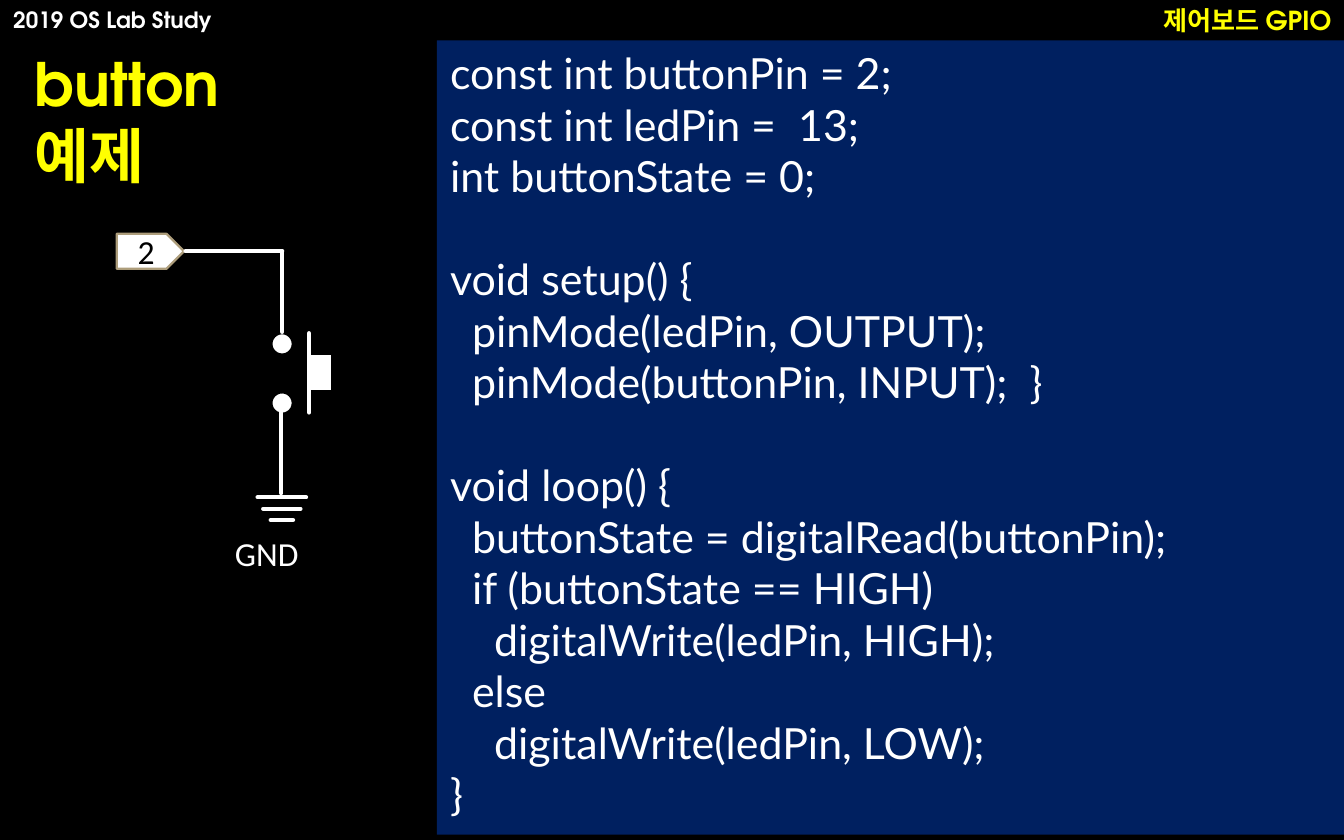
from dataclasses import dataclass

from lxml import etree
from pptx import Presentation
from pptx import util as u
from pptx.dml.color import RGBColor
from pptx.enum import shapes, text
from pptx.oxml import ns

Pt = u.Pt
COLORS = {"black": "000000", "white": "FFFFFF", "navy": "002060",
          "yellow": "FFFF00", "tan": "AD9D7B"}
HEAD_FONT, CODE_FONT, LABEL_FONT = "TeX Gyre Adventor", "Lato", "Calibri"
CODE_SIZE = 23
LINE_HEIGHT = 27.6   # one line of code
INDENT = 11.8        # one level of code indent


@dataclass
class Label:
    words: str
    box: tuple[float, float, float, float]
    font: str
    size: float
    color: str
    bold: bool = False
    align: text.PP_ALIGN = text.PP_ALIGN.LEFT


@dataclass
class Part:
    kind: shapes.MSO_SHAPE
    box: tuple[float, float, float, float]
    fill: str = "white"
    line: str | None = "black"


@dataclass
class Wire:
    start: tuple[float, float]
    end: tuple[float, float]


@dataclass
class CodeLine:
    words: str
    level: int = 0
    gap: bool = False


def rgb(name: str) -> RGBColor:
    return RGBColor.from_string(COLORS[name])


def set_font(font, name: str, size: float, color: str, bold: bool = False) -> None:
    for key, value in {"name": name, "size": Pt(size), "bold": bold}.items():
        setattr(font, key, value)
    font.color.rgb = rgb(color)


def write_label(sp, label: Label) -> None:
    """Fill the first paragraph of a shape; a newline is a line break."""
    p = sp.text_frame.paragraphs[0]
    p.alignment = label.align
    for i, words in enumerate(label.words.split("\n")):
        if i:
            p.add_line_break()
        r = p.add_run()
        r.text = words
        set_font(r.font, label.font, label.size, label.color, label.bold)


def add_label(s, label: Label) -> None:
    sp = s.shapes.add_textbox(*map(Pt, label.box))
    sp.text_frame.word_wrap = False
    write_label(sp, label)


def add_part(s, part: Part):
    sp = s.shapes.add_shape(part.kind, *map(Pt, part.box))
    sp.shadow.inherit = False
    sp.fill.solid()
    sp.fill.fore_color.rgb = rgb(part.fill)
    if part.line:
        sp.line.color.rgb = rgb(part.line)
        sp.line.width = Pt(1.25)
    else:
        sp.line.fill.background()
    return sp


def add_wire(s, wire: Wire) -> None:
    c = s.shapes.add_connector(shapes.MSO_CONNECTOR.STRAIGHT,
                               *map(Pt, wire.start + wire.end))
    c.line.color.rgb = rgb("white")
    c.line.width = Pt(2.25)
    c.get_or_add_ln().set("cap", "rnd")
    etree.SubElement(c._element.spPr, ns.qn("a:effectLst"))


def write_code(sp, lines: list[CodeLine]) -> None:
    tf = sp.text_frame
    tf.word_wrap = True
    tf.vertical_anchor = text.MSO_ANCHOR.TOP
    for i, line in enumerate(lines):
        p = tf.add_paragraph() if i else tf.paragraphs[0]
        p.alignment = text.PP_ALIGN.LEFT
        p.space_before = Pt(LINE_HEIGHT if line.gap else 0)
        p._p.get_or_add_pPr().set("marL", str(Pt(INDENT * line.level)))
        r = p.add_run()
        r.text = line.words
        set_font(r.font, CODE_FONT, CODE_SIZE, "white")


HEADERS = [
    Label("2019 OS Lab Study", (0, 0, 126, 21.6), HEAD_FONT, 12, "white", True),
    Label("제어보드 GPIO", (610.5, -1.4, 110, 24.5), HEAD_FONT, 14, "yellow", True,
          text.PP_ALIGN.RIGHT),
]
TITLE = Label("button\n예제", (11.5, 21.6, 187, 84), HEAD_FONT, 32, "yellow", True)
CODE = [
    CodeLine("const int buttonPin = 2;"),
    CodeLine("const int ledPin =  13;"),
    CodeLine("int buttonState = 0;"),
    CodeLine("void setup() {", gap=True),
    CodeLine("pinMode(ledPin, OUTPUT);", 1),
    CodeLine("pinMode(buttonPin, INPUT);  }", 1),
    CodeLine("void loop() {", gap=True),
    CodeLine("buttonState = digitalRead(buttonPin);", 1),
    CodeLine("if (buttonState == HIGH)", 1),
    CodeLine("digitalWrite(ledPin, HIGH);", 2),
    CodeLine("else", 1),
    CodeLine("digitalWrite(ledPin, LOW);", 2),
    CodeLine("}"),
]
PIN = Part(shapes.MSO_SHAPE.PENTAGON, (62.6, 125.3, 36, 18.7), line="tan")
PIN_LABEL = Label("2", PIN.box, LABEL_FONT, 18, "black", align=text.PP_ALIGN.CENTER)
GROUND_LABEL = Label("GND", (118.8, 282.2, 59, 28.8), LABEL_FONT, 18, "white")
SWITCH = [Part(shapes.MSO_SHAPE.OVAL, (145.4, y, 11.5, 11.5)) for y in (178.5, 210.2)]
SWITCH.append(Part(shapes.MSO_SHAPE.RECTANGLE, (165.6, 189.4, 12.2, 20.2)))
WIRES = [
    Wire((165.6, 178.5), (165.6, 221)),
    Wire((151.2, 134.6), (151.2, 177.8)),
    Wire((150.7, 221), (150.7, 264.2)),
    Wire((99.4, 134.6), (151.2, 134.6)),
]
# Ground symbol: three bars that shrink downwards
GROUND_X, GROUND_Y, GROUND_STEP = 151, 266.4, 6.1
WIRES += [Wire((GROUND_X - half, GROUND_Y + i * GROUND_STEP),
               (GROUND_X + half, GROUND_Y + i * GROUND_STEP))
          for i, half in enumerate((13, 10, 6))]


def main() -> None:
    prs = Presentation()
    prs.slide_width, prs.slide_height = Pt(720), Pt(450)
    s = prs.slides.add_slide(prs.slide_layouts[5])
    s.background.fill.solid()
    s.background.fill.fore_color.rgb = rgb("black")

    # Title
    title = s.shapes.title
    for key, value in zip(("left", "top", "width", "height"), TITLE.box):
        setattr(title, key, Pt(value))
    for key, value in {"word_wrap": True, "auto_size": text.MSO_AUTO_SIZE.NONE,
                       "vertical_anchor": text.MSO_ANCHOR.TOP}.items():
        setattr(title.text_frame, key, value)
    write_label(title, TITLE)

    # Headers and code panel
    for label in HEADERS:
        add_label(s, label)
    panel = add_part(s, Part(shapes.MSO_SHAPE.RECTANGLE, (234, 21.6, 486, 425.5),
                             "navy", None))
    write_code(panel, CODE)

    # Button circuit
    pin = add_part(s, PIN)
    pin.text_frame.vertical_anchor = text.MSO_ANCHOR.MIDDLE
    write_label(pin, PIN_LABEL)
    for part in SWITCH:
        add_part(s, part)
    for wire in WIRES:
        add_wire(s, wire)
    add_label(s, GROUND_LABEL)

    prs.save("out.pptx")


if __name__ == "__main__":
    main()
